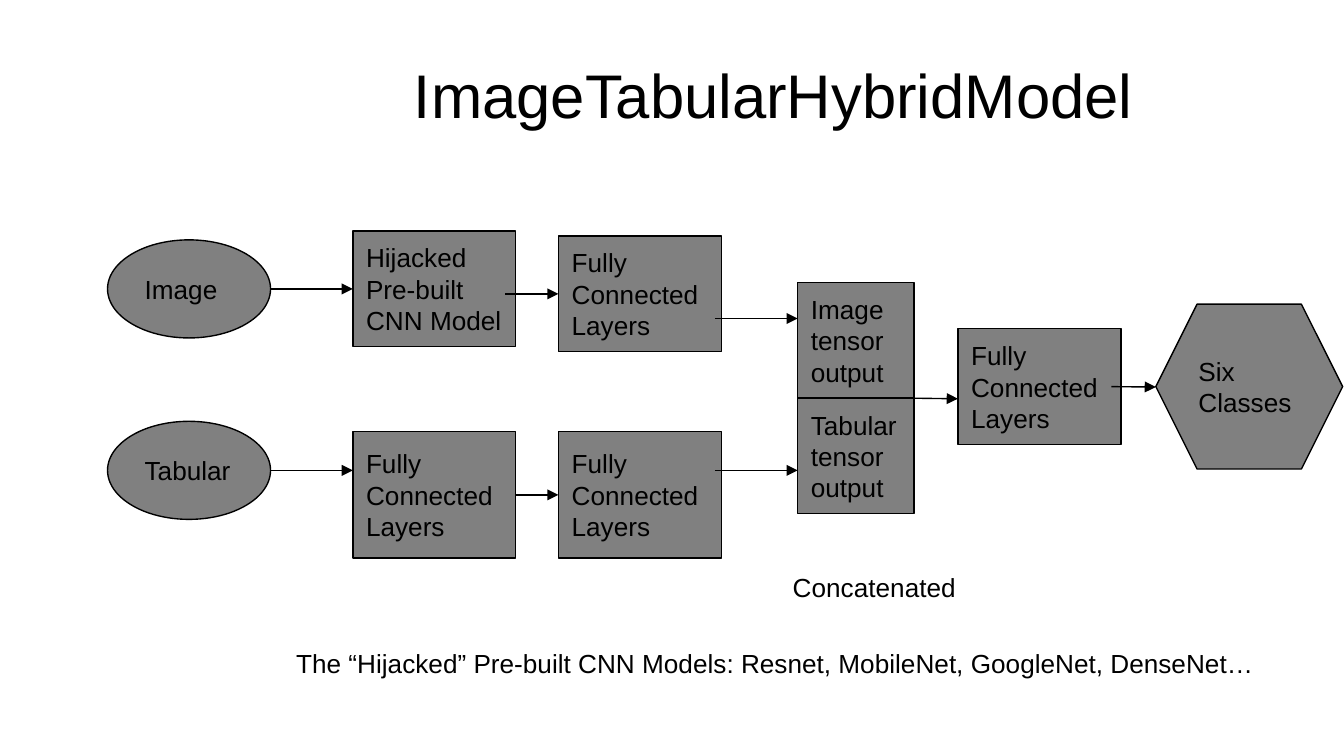
from pptx import Presentation
from pptx.dml.color import RGBColor
from pptx.enum.shapes import MSO_CONNECTOR, MSO_SHAPE
from pptx.enum.text import MSO_ANCHOR as ANCHOR, PP_ALIGN as ALIGN
from pptx.oxml.ns import qn
from pptx.util import Inches, Pt
from lxml.etree import SubElement

BLACK = RGBColor(0x00, 0x00, 0x00)
GRAY = RGBColor(0x80, 0x80, 0x80)

# Widescreen slide, 16:9
prs = Presentation()
prs.slide_width = Inches(10)
prs.slide_height = prs.slide_width * 9 // 16
slide = prs.slides.add_slide(prs.slide_layouts[6])

# Square grid: 100 columns across the slide, rows of the same size
CELL = prs.slide_width / 100


def cells(*counts):
    return [round(n * CELL) for n in counts]


def write(shape, text, size=14, anchor=ANCHOR.MIDDLE, align=ALIGN.LEFT, pad=1):
    frame = shape.text_frame
    frame.word_wrap = True
    frame.vertical_anchor = anchor
    frame.margin_left, frame.margin_top, frame.margin_right, frame.margin_bottom = cells(1, pad, 1, pad)
    frame.text = text
    paragraph = frame.paragraphs[0]
    paragraph.alignment = align
    font = paragraph.runs[0].font
    font.name, font.size, font.color.rgb = "Arial", Pt(size), BLACK


# Columns of the diagram, left edges
INPUT, FIRST, SECOND, CONCAT, MERGED, RESULT = 8, 26.25, 41.55, 59.35, 71.27, 86
WIDE, NARROW = 12.13, 8.67
LOW, TALL, OVAL = 8.6, 9.4, 7.3
TENSOR_TOP = 21.03
LAYERS = "Fully Connected Layers"
RECT, ELLIPSE, HEXAGON = MSO_SHAPE.RECTANGLE, MSO_SHAPE.OVAL, MSO_SHAPE.HEXAGON

# Title
title = slide.shapes.add_textbox(*cells(20.1, 2.25, 74.9, 9.4))
write(title, "ImageTabularHybridModel", 33, align=ALIGN.CENTER, pad=0.5)

# Blocks: key, shape, text, left, top, width, height
nodes = {}
for key, kind, text, *box in [
    ("cnn", RECT, "Hijacked Pre-built CNN Model", FIRST, 17.2, WIDE, LOW),
    ("tabular layers 1", RECT, LAYERS, FIRST, 32.12, WIDE, TALL),
    ("image layers", RECT, LAYERS, SECOND, 17.57, WIDE, LOW),
    ("tabular layers 2", RECT, LAYERS, SECOND, 32.12, WIDE, TALL),
    ("tabular tensor", RECT, "Tabular tensor output", CONCAT, TENSOR_TOP + LOW, NARROW, LOW),
    ("image tensor", RECT, "Image tensor output", CONCAT, TENSOR_TOP, NARROW, LOW),
    ("merged layers", RECT, LAYERS, MERGED, 24.47, WIDE, LOW),
    ("classes", HEXAGON, "Six Classes", RESULT, 22.63, 13.9, 12.27),
    ("image", ELLIPSE, "Image", INPUT, 17.85, WIDE, OVAL),
    ("tabular", ELLIPSE, "Tabular", INPUT, 31.35, WIDE, OVAL),
]:
    node = nodes[key] = slide.shapes.add_shape(kind, *cells(*box))
    node.shadow.inherit = False
    node.fill.solid()
    node.fill.fore_color.rgb = GRAY
    node.line.color.rgb = BLACK
    node.line.width = Pt(0.75)
    write(node, text)
nodes["classes"].adjustments[0] = 0.25

# Arrows: start, end, then the blocks joined at mid-right and mid-left
for x1, y1, x2, y2, source, target in [
    (INPUT + WIDE, 21.5, FIRST, 21.5, None, "cnn"),
    (INPUT + WIDE, 35, FIRST, 35, None, None),
    (37.6, 21.87, SECOND, 21.87, None, "image layers"),
    (FIRST + WIDE, 36.82, SECOND, 36.82, "tabular layers 1", "tabular layers 2"),
    (53.2, 23.7, CONCAT, 23.7, None, None),
    (53.2, 35, CONCAT, 35, None, None),
    (CONCAT + NARROW, TENSOR_TOP + LOW, MERGED, 29.67, None, None),
    (82.7, 28.77, RESULT, 28.8, None, None),
]:
    arrow = slide.shapes.add_connector(MSO_CONNECTOR.STRAIGHT, *cells(x1, y1, x2, y2))
    if source:
        arrow.begin_connect(nodes[source], 3)
    if target:
        arrow.end_connect(nodes[target], 1)
    arrow.line.color.rgb = BLACK
    arrow.line.width = Pt(0.75)
    SubElement(arrow.line._get_or_add_ln(), qn("a:tailEnd"), type="triangle")
    SubElement(arrow._element.spPr, qn("a:effectLst"))

# Captions
for text, *box in [
    ("Concatenated", 58, 41.5, 15.5, 4.4),
    ("The “Hijacked” Pre-built CNN Models: Resnet, MobileNet, GoogleNet, DenseNet…",
     21.05, 47.2, 74.9, 4.4),
]:
    write(slide.shapes.add_textbox(*cells(*box)), text, anchor=ANCHOR.TOP)

prs.save("out.pptx")
